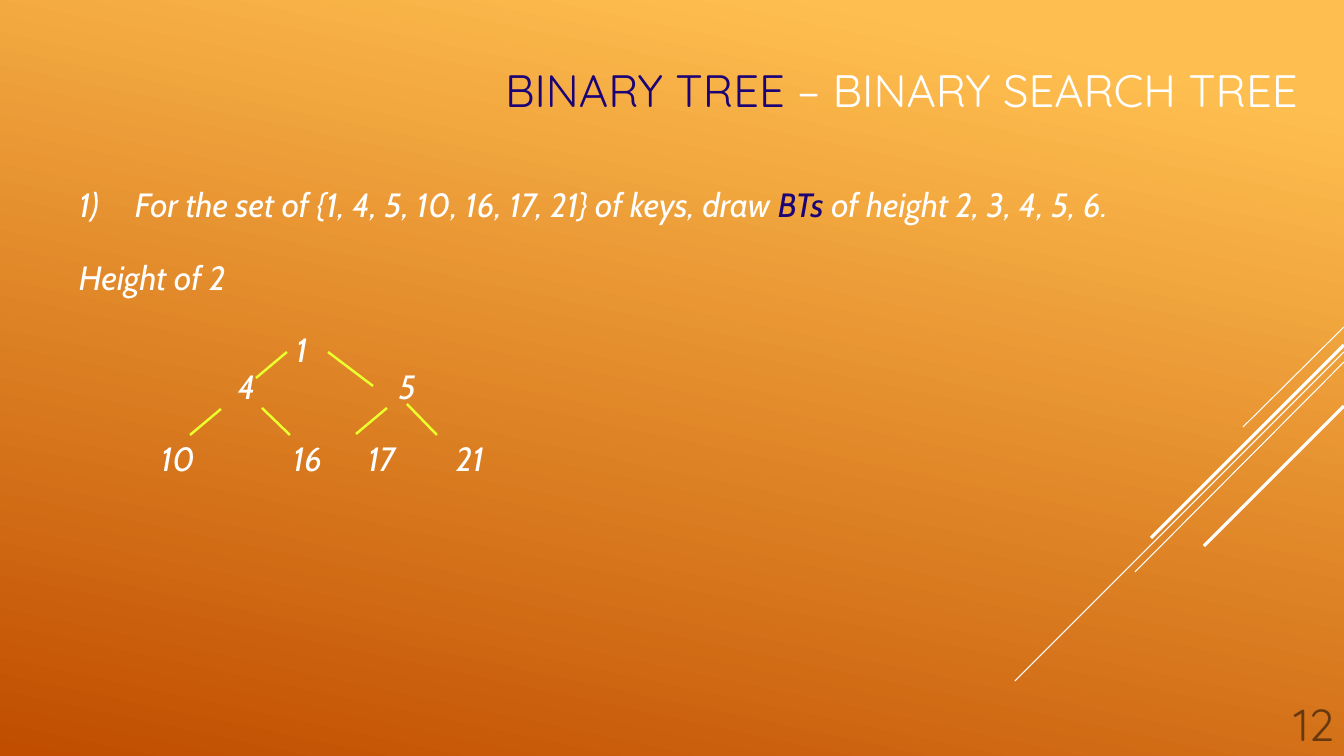
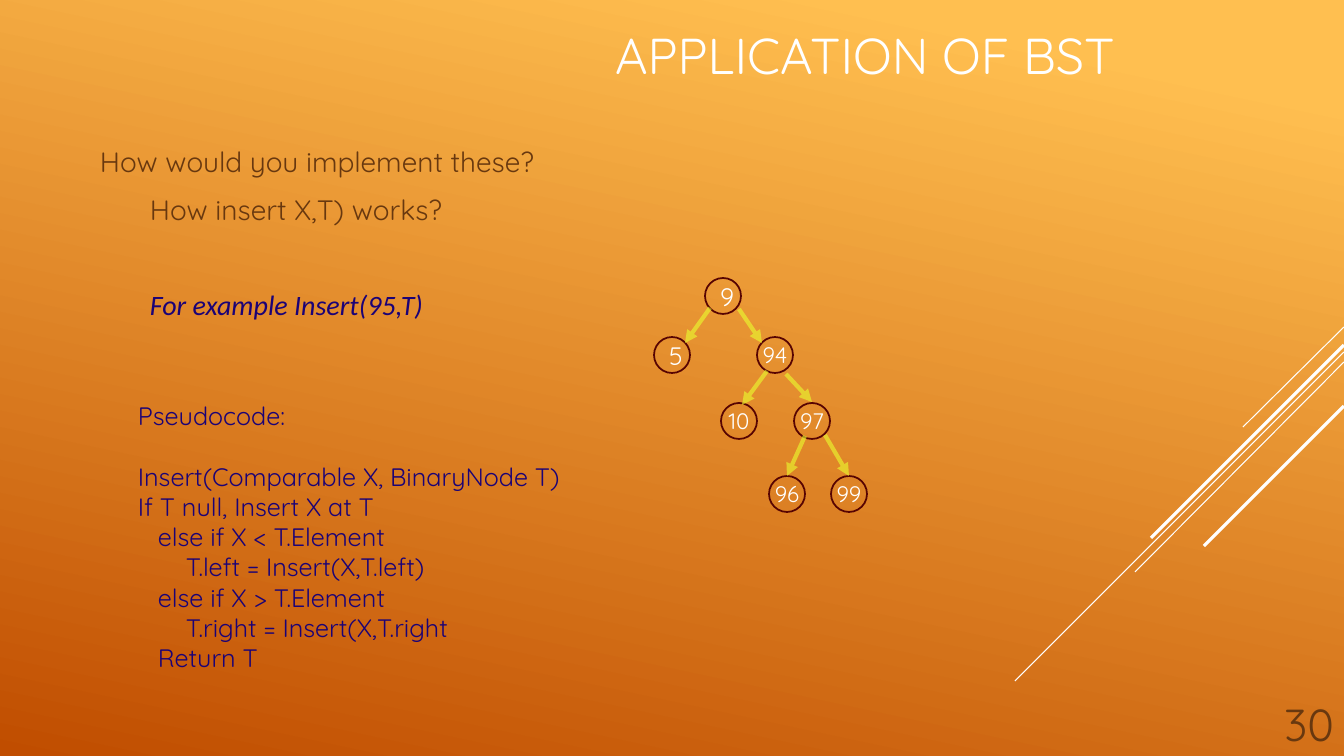
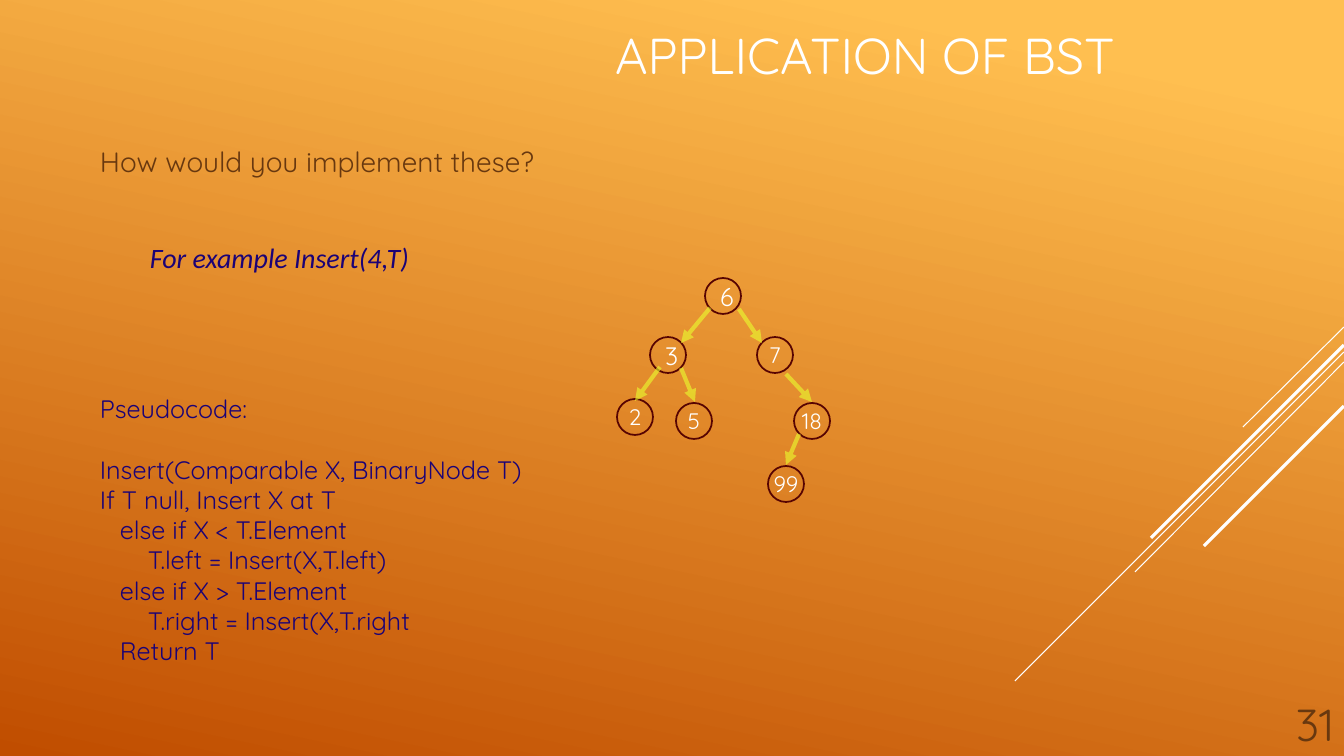
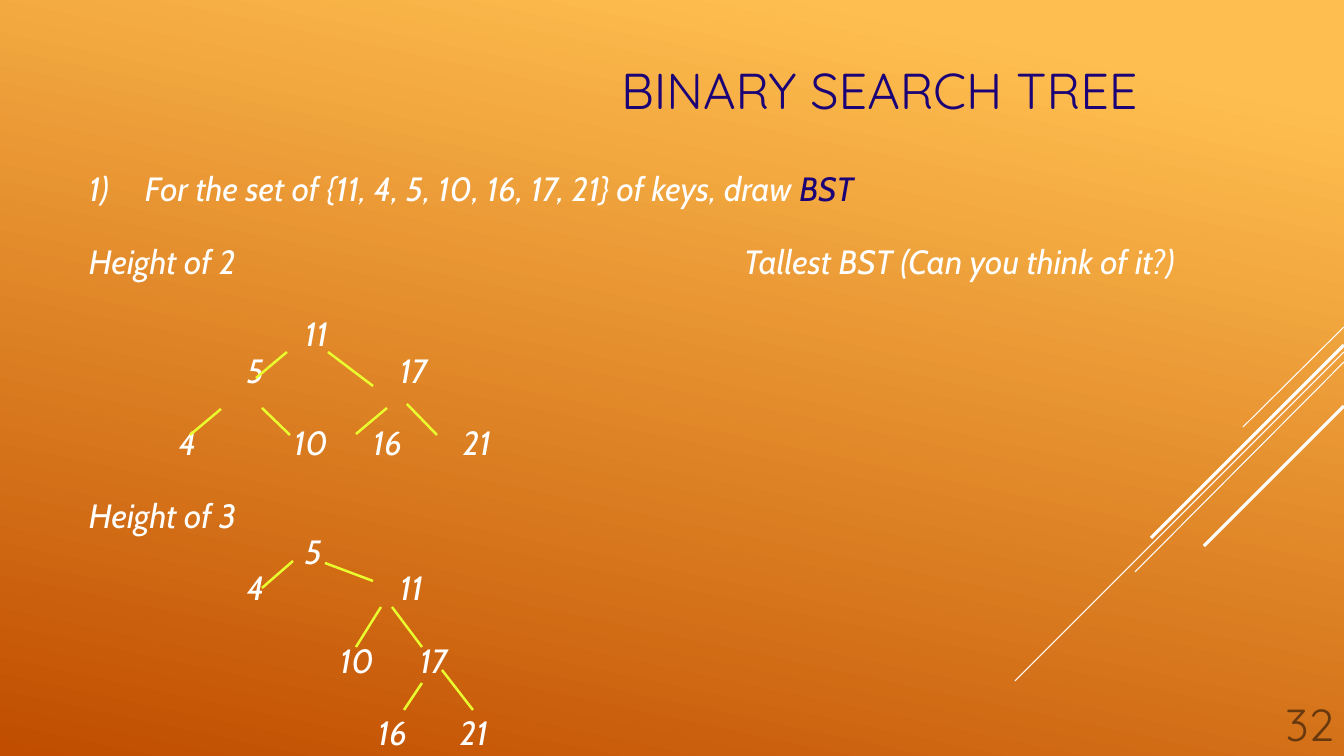
from lxml.etree import SubElement
from pptx import Presentation
from pptx.dml.color import RGBColor
from pptx.enum.shapes import MSO_CONNECTOR, MSO_SHAPE
from pptx.enum.text import MSO_ANCHOR, MSO_AUTO_SIZE, PP_ALIGN
from pptx.oxml.ns import qn
from pptx.util import Pt

SLIDE_W, SLIDE_H = 1344, 756
EMU_PER_PX = 12192000 / SLIDE_W
INSET = 10
NODE_SIZE = 36
ROW_PITCH = 36.3
LABEL_HEIGHT = 42

COLORS = {
    "glow": "FFBF50",
    "rust": "C04D00",
    "white": "FFFFFF",
    "navy": "1B0276",
    "brown": "68380F",
    "maroon": "570402",
    "yellow": "EAFF2E",
}
FONTS = {
    "title": {"name": "Quicksand", "size": Pt(36)},
    "long title": {"name": "Quicksand", "size": Pt(32.4)},
    "question": {"name": "Quicksand", "size": Pt(20)},
    "example": {"name": "Calibri", "size": Pt(20), "italic": True},
    "code": {"name": "Quicksand", "size": Pt(18)},
    "exercise": {"name": "Cabin", "size": Pt(24), "italic": True},
    "root node": {"name": "Quicksand", "size": Pt(18)},
    "node": {"name": "Quicksand", "size": Pt(16)},
    "number": {"name": "Quicksand", "size": Pt(32)},
}
# Space before a paragraph
CODE_GAP = Pt(22)
QUESTION_SPACING, EXAMPLE_SPACING = Pt(10), Pt(44)

# Lines as x1, y1, x2, y2, with the width in points where it varies
STREAKS = [
    (1344, 327, 1243, 427, 0.75),
    (1344, 352, 1015, 681, 0.75),
    (1344, 362, 1135, 572, 0.75),
    (1344, 345, 1151, 538, 2.25),
    (1344, 406, 1204, 546, 2.25),
]
HEIGHT_2_EDGES = [
    (256, 378, 287, 352), (328, 352, 373, 386), (407, 404, 437, 435),
    (262, 408, 290, 435), (356, 434, 387, 408), (190, 435, 221, 409),
]
HEIGHT_3_EDGES = [
    (262, 588, 293, 561), (325, 563, 373, 581), (442, 670, 473, 710),
    (404, 710, 422, 683), (392, 607, 422, 647), (356, 647, 381, 607),
]
RIGHT_EDGES = [(739, 309, 762, 343), (786, 374, 812, 402)]

# Labels by x position, by row counted from the task
BINARY_TREE_ROWS = {
    2: {79: "Height of 2"},
    4: {296: "1"},
    5: {238: "4", 399: "5"},
    7: {161: "10", 293: "16", 368: "17", 456: "21"},
}
SEARCH_TREE_ROWS = {
    2: {89: "Height of 2", 744: "Tallest BST (Can you think of it?)"},
    4: {305: "11"},
    5: {247: "5", 400: "17"},
    7: {179: "4", 294: "10", 373: "16", 463: "21"},
    9: {89: "Height of 3"},
    10: {305: "5"},
    11: {247: "4", 400: "11"},
    13: {340: "10", 420: "17"},
    15: {378: "16", 460: "21"},
}
# Code lines as: indent, text
PSEUDOCODE = [
    (0, "Pseudocode:"),
    (0, "Insert(Comparable X, BinaryNode T)"),
    (0, "If T null, Insert X at T"),
    (20, "else if X < T.Element"),
    (48, "T.left = Insert(X,T.left)"),
    (20, "else if X > T.Element"),
    (48, "T.right = Insert(X,T.right"),
    (20, "Return T"),
]


def px(length):
    return round(length * EMU_PER_PX)


def rgb(color):
    return RGBColor.from_string(COLORS[color])


def add_run(paragraph, text, font, color):
    run = paragraph.add_run()
    run.text = text
    for attribute, value in FONTS[font].items():
        setattr(run.font, attribute, value)
    run.font.color.rgb = rgb(color)


def add_text_frame(slide, left, top, width, height):
    frame = slide.shapes.add_textbox(px(left), px(top), px(width), px(height)).text_frame
    frame.word_wrap = True
    return frame


def paragraphs(frame):
    """Yield the frame's first paragraph, then new ones."""
    yield frame.paragraphs[0]
    while True:
        yield frame.add_paragraph()


def indent(paragraph, margin, first_line=0):
    properties = paragraph._p.get_or_add_pPr()
    properties.set("marL", str(px(margin)))
    properties.set("indent", str(px(first_line)))
    return properties


def add_line(slide, x1, y1, x2, y2, width, color):
    line = slide.shapes.add_connector(MSO_CONNECTOR.STRAIGHT, px(x1), px(y1), px(x2), px(y2))
    line.line.width = Pt(width)
    line.line.color.rgb = rgb(color)
    SubElement(line.element.spPr, qn("a:effectLst"))
    return line


def add_arrow(slide, *ends):
    """Draw a translucent edge that points to a child node."""
    properties = add_line(slide, *ends, 3, "yellow").element.spPr
    SubElement(properties.find(".//" + qn("a:srgbClr")), qn("a:alpha"), val="60000")
    SubElement(properties.find(qn("a:ln")), qn("a:tailEnd"), type="triangle")


def add_node(slide, key, left, top, font):
    node = slide.shapes.add_shape(
        MSO_SHAPE.OVAL, px(left), px(top), px(NODE_SIZE), px(NODE_SIZE))
    node.shadow.inherit = False
    node.fill.background()
    node.line.color.rgb = rgb("maroon")
    node.line.width = Pt(1.25)
    frame = node.text_frame
    is_upper = font == "root node"
    margin = px(INSET if is_upper else 0)
    layout = {
        "margin_left": margin, "margin_right": margin,
        "margin_top": margin // 2, "margin_bottom": margin // 2,
        "word_wrap": is_upper, "vertical_anchor": MSO_ANCHOR.MIDDLE,
    }
    for attribute, value in layout.items():
        setattr(frame, attribute, value)
    frame.paragraphs[0].alignment = PP_ALIGN.CENTER
    add_run(frame.paragraphs[0], key, font, "white")


def style_deck(deck):
    """Set the size and background, and leave only the title on the layout."""
    deck.slide_width, deck.slide_height = px(SLIDE_W), px(SLIDE_H)
    fill = deck.slide_master.background.fill
    fill.gradient()
    fill.gradient_angle = 360 - 102
    for stop, (position, color) in zip(fill.gradient_stops, [(0.1, "glow"), (1, "rust")]):
        stop.position = position
        stop.color.rgb = rgb(color)
    layout = deck.slide_layouts[5]
    for placeholder in list(layout.placeholders):
        if placeholder.placeholder_format.idx:
            placeholder.element.getparent().remove(placeholder.element)
    return layout


def move_streaks_to_layout(slide):
    for streak in STREAKS:
        line = add_line(slide, *streak, "white")
        slide.slide_layout.shapes.element.append(line.element)


def add_titled_slide(deck, layout, number, title_runs, box, font="title"):
    slide = deck.slides.add_slide(layout)
    title = slide.shapes.title
    title.left, title.top, title.width, title.height = map(px, box)
    frame = title.text_frame
    frame.auto_size = MSO_AUTO_SIZE.NONE
    frame.word_wrap = True
    frame.vertical_anchor = MSO_ANCHOR.MIDDLE
    frame.paragraphs[0].alignment = PP_ALIGN.LEFT
    for text, color in title_runs:
        add_run(frame.paragraphs[0], text, font, color)

    footer = add_text_frame(slide, 1064, 722, 280, 33)
    footer.vertical_anchor = MSO_ANCHOR.BOTTOM
    footer.paragraphs[0].alignment = PP_ALIGN.RIGHT
    add_run(footer.paragraphs[0], str(number), "number", "brown")
    return slide


def add_exercise_line(slide, left, top, width, runs):
    line = add_text_frame(slide, left, top, width, LABEL_HEIGHT).paragraphs[0]
    line.line_spacing = 0.9
    for text, color in runs:
        add_run(line, text, "exercise", color)
    return line


def add_exercise(slide, left, top, task_runs, rows, edges):
    """Write a numbered task, then the labels of its trees and their edges."""
    task = add_exercise_line(slide, left, top, 1156, task_runs)
    SubElement(indent(task, 56, -56), qn("a:buAutoNum"), type="arabicParenR")
    for row, labels in rows.items():
        for x, label in labels.items():
            add_exercise_line(
                slide, x - INSET, top + round(row * ROW_PITCH),
                30 + 16 * len(label), [(label, "white")])
    for edge in edges:
        add_line(slide, *edge, 1.75, "yellow")


def add_questions(slide, questions, example):
    """Write the first question, indented follow-ups and the example call."""
    lines = paragraphs(add_text_frame(slide, 90, 140, 1031, 540))
    for position, (question, line) in enumerate(zip(questions, lines)):
        line.space_before = QUESTION_SPACING if position else 0
        indent(line, 50 if position else 0)
        add_run(line, question, "question", "brown")
    line = next(lines)
    line.space_before = EXAMPLE_SPACING
    indent(line, 50)
    add_run(line, example, "example", "navy")


def add_pseudocode(slide, left, top):
    lines = paragraphs(add_text_frame(slide, left, top, 526, 285))
    for position, ((margin, code), line) in enumerate(zip(PSEUDOCODE, lines)):
        line.space_before = CODE_GAP if position == 1 else 0
        indent(line, margin)
        add_run(line, code, "code", "navy")


def add_insert_slide(deck, layout, number, questions, example, nodes, edges, code_at):
    slide = add_titled_slide(
        deck, layout, number, [("APPLICATION OF BST", "white")], (605, 16, 599, 76))
    add_questions(slide, questions, example)
    for position, node in enumerate(nodes):
        add_node(slide, *node, "root node" if position < 2 else "node")
    for edge in edges + RIGHT_EDGES:
        add_arrow(slide, *edge)
    add_pseudocode(slide, *code_at)


def main():
    deck = Presentation()
    layout = style_deck(deck)

    binary_tree = add_titled_slide(
        deck, layout, 12,
        [("BINARY TREE ", "navy"), ("– BINARY SEARCH TREE", "white")],
        (495, 51, 816, 76), "long title")
    move_streaks_to_layout(binary_tree)
    add_exercise(
        binary_tree, 69, 184,
        [("For the set of {1, 4, 5, 10, 16, 17, 21} of keys, draw ", "white"),
         ("BTs", "navy"), (" of height 2, 3, 4, 5, 6.", "white")],
        BINARY_TREE_ROWS, HEIGHT_2_EDGES)

    add_insert_slide(
        deck, layout, 30,
        ["How would you implement these?", "How insert X,T) works?"],
        "For example Insert(95,T)",
        [("9", 705, 278), ("5", 654, 337), ("94", 757, 337), ("10", 721, 403),
         ("97", 794, 403), ("96", 769, 476), ("99", 831, 476)],
        [(710, 308, 685, 343), (767, 371, 742, 405),
         (805, 436, 787, 476), (825, 435, 849, 476)],
        (128, 395))

    add_insert_slide(
        deck, layout, 31,
        ["How would you implement these?"],
        "For example Insert(4,T)",
        [("6", 705, 278), ("3", 650, 337), ("7", 757, 337), ("2", 617, 399),
         ("18", 794, 403), ("5", 676, 403), ("99", 768, 466)],
        [(710, 308, 681, 343), (660, 367, 635, 401),
         (681, 368, 695, 402), (799, 434, 786, 465)],
        (90, 388))

    search_tree = add_titled_slide(
        deck, layout, 32, [("BINARY SEARCH TREE", "navy")], (611, 51, 701, 76))
    add_exercise(
        search_tree, 79, 168,
        [("For the set of {11, 4, 5, 10, 16, 17, 21} of keys, draw ", "white"),
         ("BST", "navy")],
        SEARCH_TREE_ROWS, HEIGHT_2_EDGES + HEIGHT_3_EDGES)

    deck.save("out.pptx")


if __name__ == "__main__":
    main()
